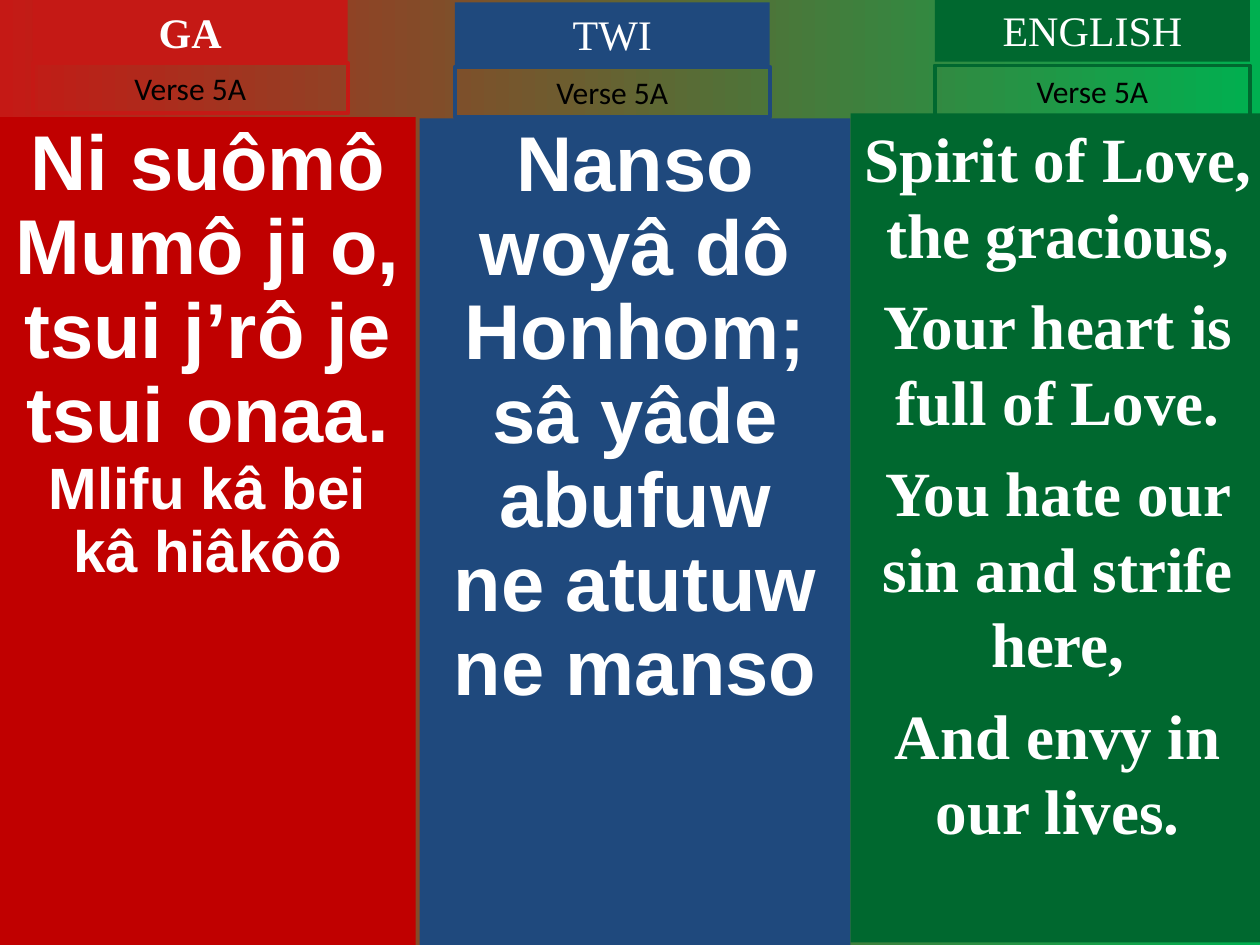
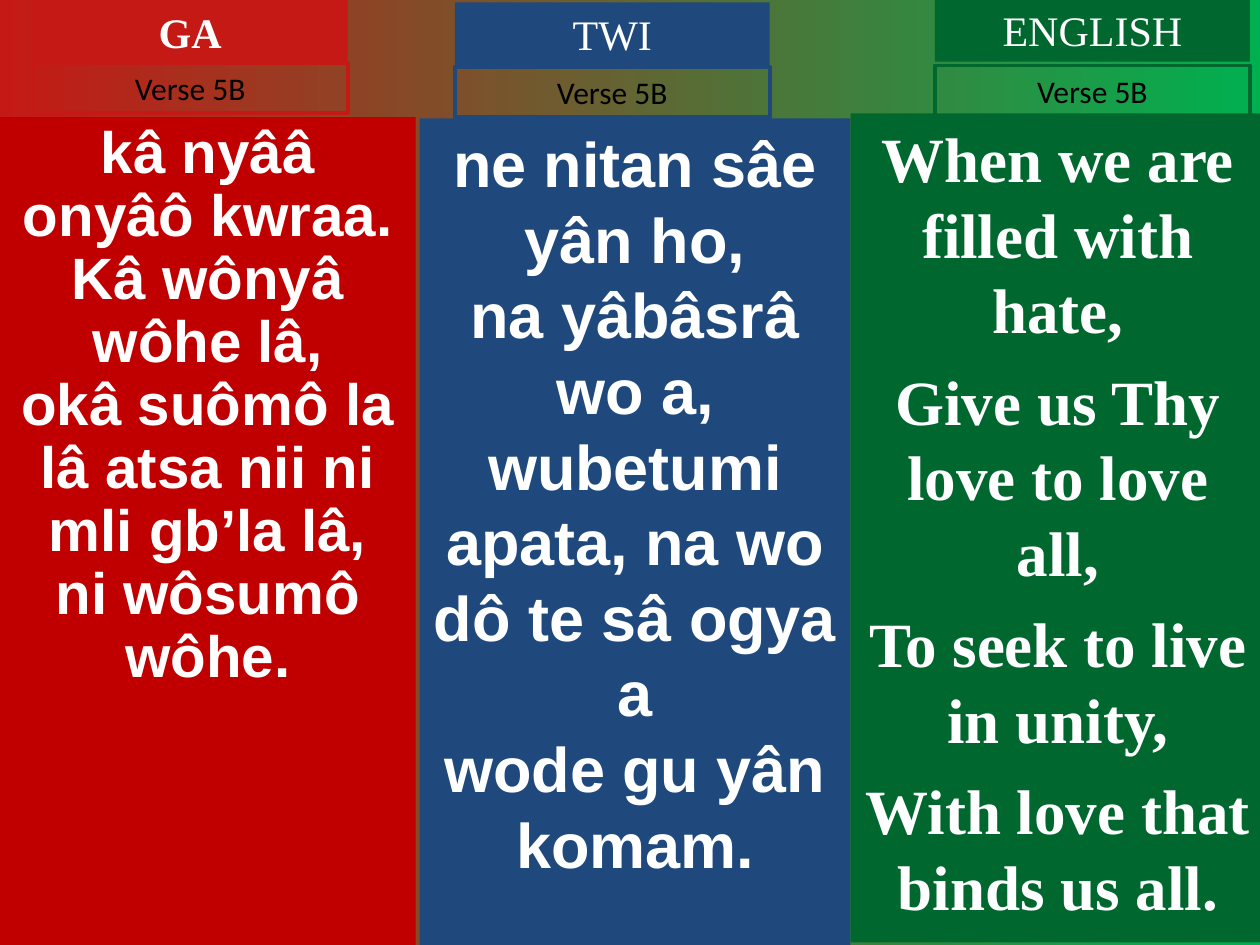
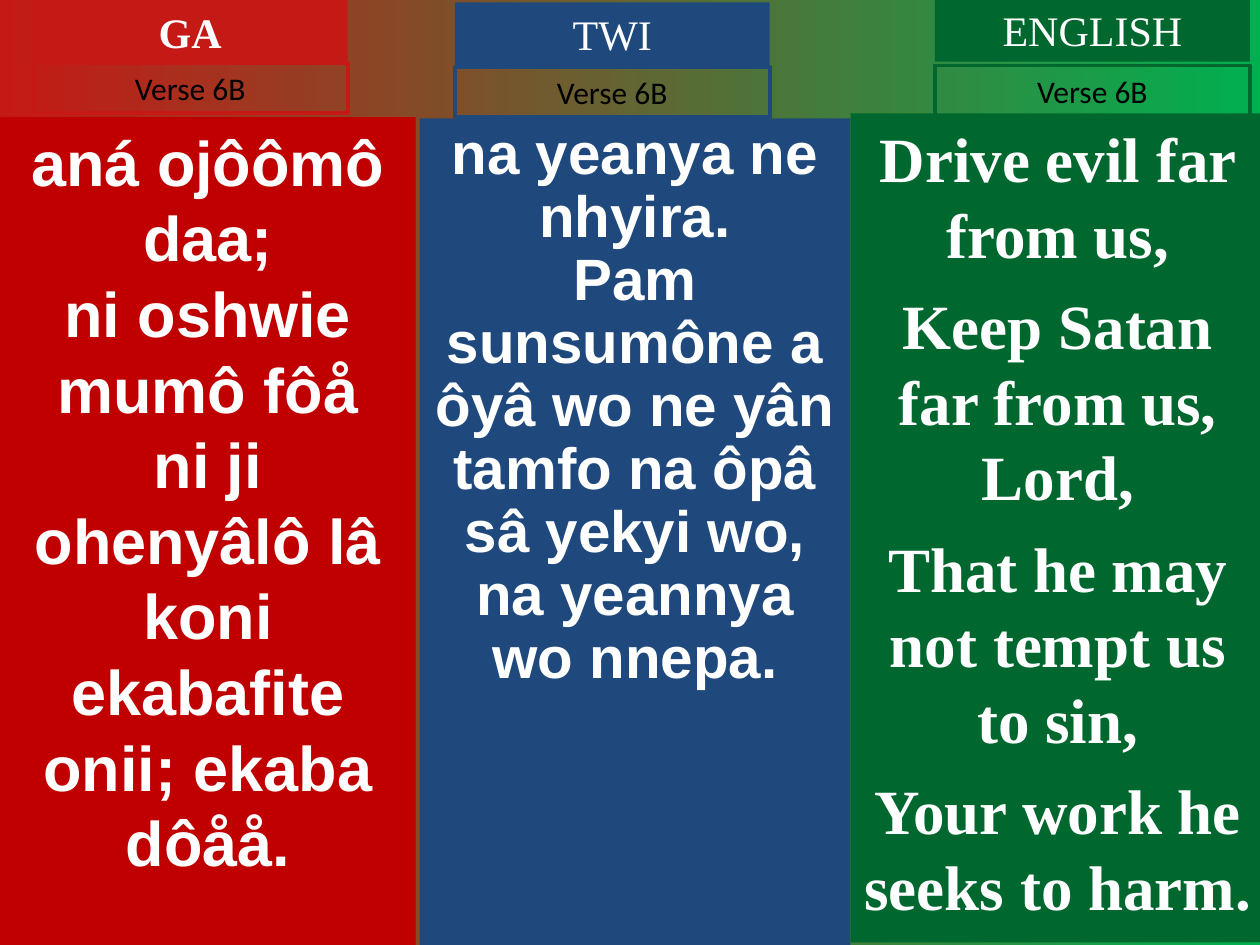
from pptx import Presentation
from pptx.dml.color import RGBColor
from pptx.enum.shapes import MSO_SHAPE
from pptx.enum.text import MSO_ANCHOR, PP_ALIGN
from pptx.util import Inches, Pt

WHITE, BLACK = "FFFFFF", "000000"
RED, GREEN = "C51915", "00B050"
HEADING_FONT, LABEL_FONT = "Times New Roman", "Calibri"
HEADING_WIDTH, HEADING_HEIGHT, LABEL_HEIGHT = 2.5, 0.5, 0.4

# Per language: heading, heading bold, heading colour, heading left, heading top,
# label top, lyrics colour, lyrics box, lyrics font, space before lyrics lines
LANGUAGES = [
    ("GA", True, RED, 0.26, 0, 0.5, "C00000", (0, 0.93, 3.3, 6.57), "Arial", 0),
    ("TWI", False, "1F497D", 3.61, 0.02, 0.53, "1F497D", (3.33, 0.94, 3.42, 6.56), "Arial", 0),
    ("ENGLISH", False, "00682F", 7.42, -0.01, 0.52, "00682F", (6.75, 0.9, 3.29, 6.58),
     "Times New Roman", 9),
]

# Per verse: label, then for each language the line spacing and (text, size) lines
VERSES = [
    ("Verse 5A", [
        (0.9, [("Ni suômô Mumô ji o,", 44.4), ("tsui j’rô je tsui onaa.", 44.4),
               ("Mlifu kâ bei kâ hiâkôô", 33.3)]),
        (0.9, [("Nanso woyâ dô Honhom;", 44.4), ("sâ yâde abufuw", 44.4),
               ("ne atutuw ne manso", 44.4)]),
        (1, [("Spirit of Love, the gracious,", 36), ("Your heart is full of Love.", 36),
             ("You hate our sin and strife here,", 36), ("And envy in our lives.", 36)]),
    ]),
    ("Verse 5B", [
        (0.9, [("kâ nyââ onyâô kwraa.", 33.3), ("Kâ wônyâ wôhe lâ,", 33.3),
               ("okâ suômô la lâ atsa nii ni mli gb’la lâ,", 33.3), ("ni wôsumô wôhe.", 33.3)]),
        (1, [("ne nitan sâe yân ho,", 36), ("na yâbâsrâ wo a,", 36),
             ("wubetumi apata, na wo dô te sâ ogya a", 36), ("wode gu yân komam.", 36)]),
        (1, [("When we are filled with hate,", 36), ("Give us Thy love to love all,", 36),
             ("To seek to live in unity,", 36), ("With love that binds us all.", 36)]),
    ]),
    ("Verse 6B", [
        (1, [("aná ojôômô daa;", 36), ("ni oshwie mumô fôå", 36),
             ("ni ji ohenyâlô lâ koni ekabafite", 36), ("onii; ekaba dôåå.", 36)]),
        (0.9, [("na yeanya ne nhyira.", 33.3), ("Pam sunsumône a", 33.3),
               ("ôyâ wo ne yân tamfo na ôpâ sâ yekyi wo,", 33.3), ("na yeannya wo nnepa.", 33.3)]),
        (1, [("Drive evil far from us,", 36), ("Keep Satan far from us, Lord,", 36),
             ("That he may not tempt us to sin,", 36), ("Your work he seeks to harm.", 36)]),
    ]),
]


def rgb(value):
    return RGBColor.from_string(value)


def add_panel(slide, box, lines, font, color, fill=None, outline=None, bold=False,
              line_spacing=None, space_before=0):
    shape = slide.shapes.add_shape(MSO_SHAPE.RECTANGLE, *[Inches(length) for length in box])
    shape.shadow.inherit = False
    if fill:
        shape.fill.solid()
        shape.fill.fore_color.rgb = rgb(fill)
    else:
        shape.fill.background()
    if outline:
        shape.line.color.rgb = rgb(outline)
        shape.line.width = Pt(2.25)
    else:
        shape.line.fill.background()
    frame = shape.text_frame
    frame.word_wrap = True
    frame.vertical_anchor = MSO_ANCHOR.TOP
    for index, (text, size) in enumerate(lines):
        paragraph = frame.add_paragraph() if index else frame.paragraphs[0]
        paragraph.text = text
        paragraph.alignment = PP_ALIGN.CENTER
        paragraph.line_spacing = line_spacing
        paragraph.space_before = Pt(space_before if index else 0)
        paragraph.font.name = font
        paragraph.font.size = Pt(size)
        paragraph.font.bold = bold
        paragraph.font.color.rgb = rgb(color)


presentation = Presentation()
presentation.slide_width, presentation.slide_height = Inches(10), Inches(7.5)

for verse, lyrics in VERSES:
    slide = presentation.slides.add_slide(presentation.slide_layouts[6])

    # Red to green background
    background = slide.background.fill
    background.gradient()
    background.gradient_angle = 0
    for stop, color, position in zip(background.gradient_stops, (RED, GREEN), (0, 1)):
        stop.color.rgb = rgb(color)
        stop.position = position

    # One column per language: lyrics, heading, verse label
    for language, (line_spacing, lines) in zip(LANGUAGES, lyrics):
        heading, bold, color, left, top, label_top, lyrics_color, box, font, gap = language
        add_panel(slide, box, lines, font, WHITE, fill=lyrics_color, bold=True,
                  line_spacing=line_spacing, space_before=gap)
        add_panel(slide, (left, top, HEADING_WIDTH, HEADING_HEIGHT), [(heading, 24)],
                  HEADING_FONT, WHITE, fill=color, bold=bold)
        add_panel(slide, (left, label_top, HEADING_WIDTH, LABEL_HEIGHT), [(verse, 18)],
                  LABEL_FONT, BLACK, outline=color)

presentation.save("out.pptx")
